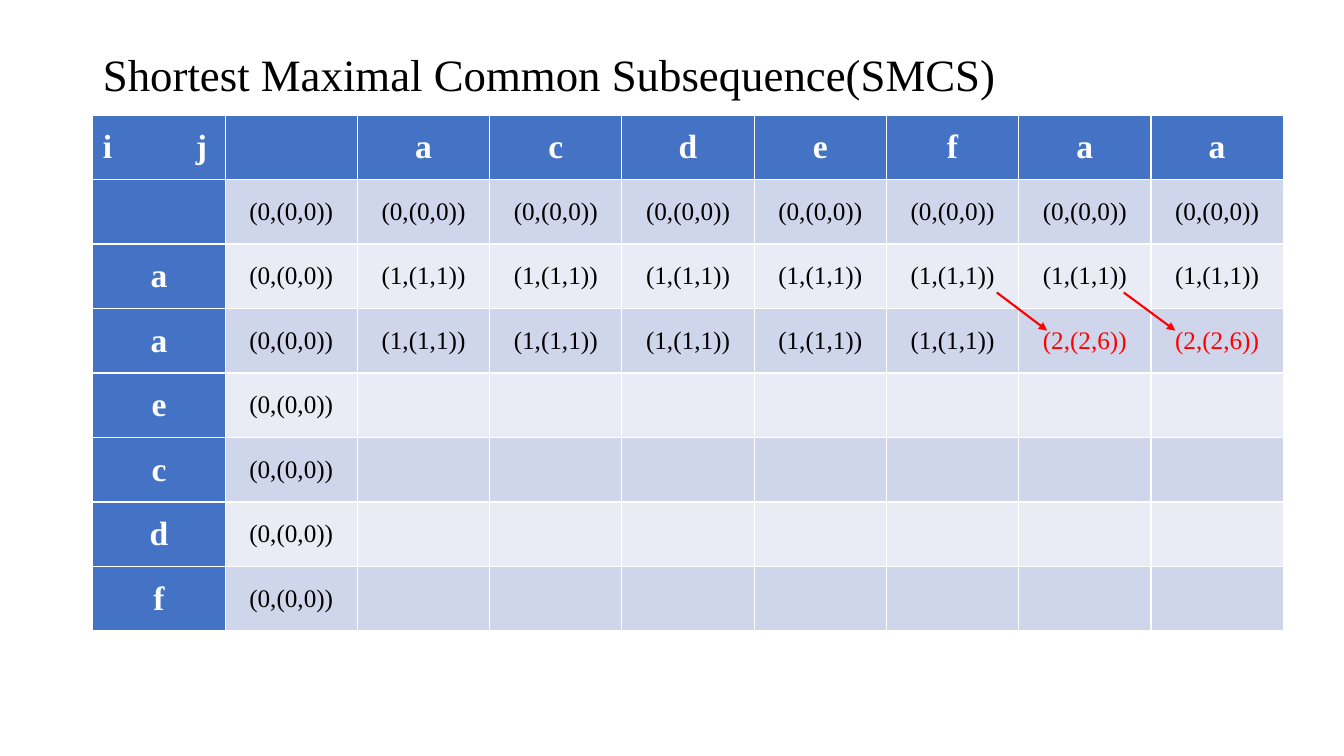
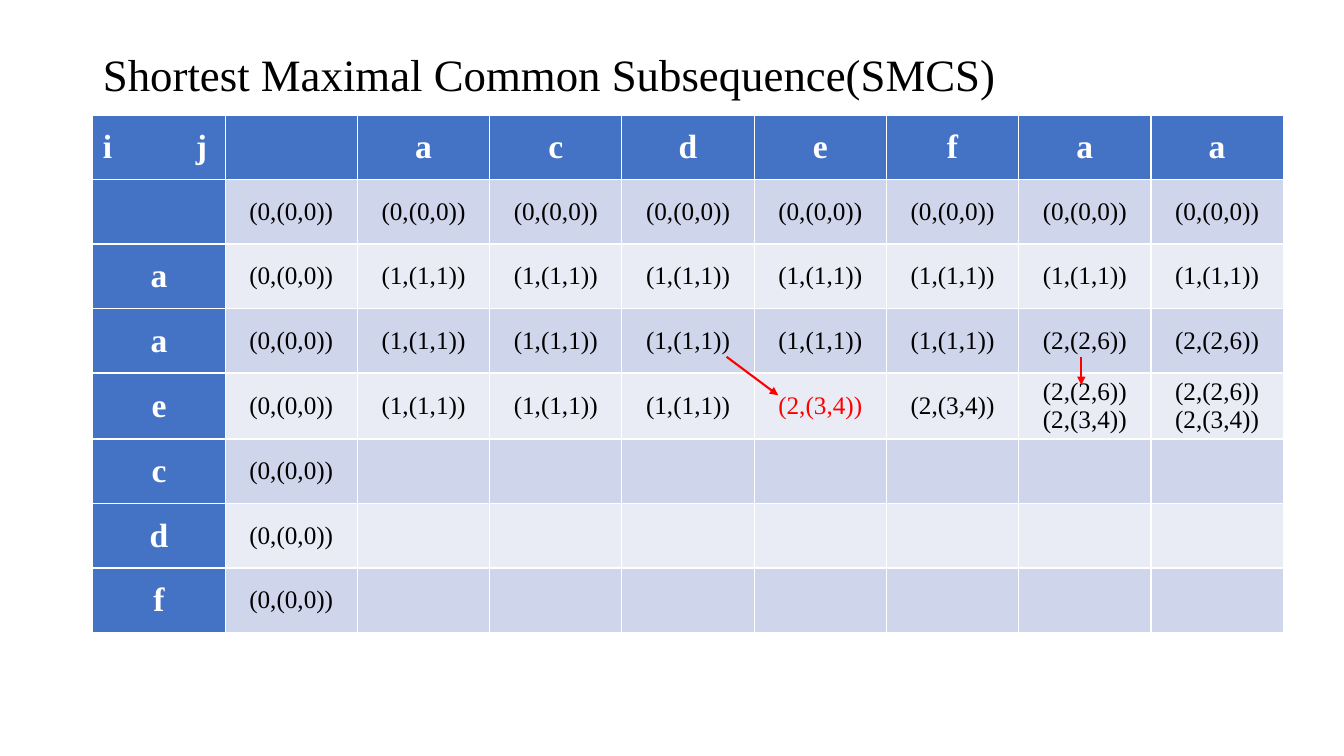
from lxml import etree
from pptx import Presentation
from pptx.dml.color import RGBColor
from pptx.enum.shapes import MSO_CONNECTOR as CONN
from pptx.enum.text import MSO_ANCHOR as ANCHOR, MSO_AUTO_SIZE as AUTO, PP_ALIGN as ALIGN
from pptx.oxml.ns import qn
from pptx.util import Cm, Pt

BLUE = RGBColor(0x44, 0x72, 0xC4)
BANDS = (RGBColor(0xE9, 0xEB, 0xF5), RGBColor(0xCF, 0xD5, 0xEA))
WHITE = RGBColor(0xFF, 0xFF, 0xFF)
BLACK = RGBColor(0, 0, 0)
RED = RGBColor(0xFF, 0, 0)

TITLE = "Shortest Maximal Common Subsequence(SMCS)"
TOP_WORD = ["", *"acdefaa"]
SIDE_WORD = ["", *"aaecdf"]
ZERO, ONE = "(0,(0,0))", "(1,(1,1))"
SIX, FOUR = "(2,(2,6))", "(2,(3,4))"
BOTH = f"{SIX}\n{FOUR}"
FIRST_ROWS = [[ZERO] * 8, [ZERO] + [ONE] * 7, [ZERO] + [ONE] * 5 + [SIX] * 2]
E_ROW = [ZERO] + [ONE] * 3 + [FOUR] * 2 + [BOTH] * 2


class Deck:
    """Holds the style of the deck and the slide being built."""

    def __init__(self):
        self.prs = Presentation()
        self.prs.slide_width, self.prs.slide_height = Cm(33.87), Cm(19.05)
        self.s = None

    def format(self, p, size, color, bold=False, align=ALIGN.CENTER):
        p.alignment = align
        p.font.name = "Times New Roman"
        p.font.size = Pt(size)
        p.font.bold = bold
        p.font.color.rgb = color

    def slide(self, title):
        self.s = self.prs.slides.add_slide(self.prs.slide_layouts[5])
        sp = self.s.shapes.title
        sp.left, sp.top, sp.width, sp.height = Cm(2.34), Cm(1.02), Cm(29.21), Cm(1.85)
        tf = sp.text_frame
        tf.text = title
        tf.auto_size = AUTO.NONE
        tf.vertical_anchor = ANCHOR.MIDDLE
        p = tf.paragraphs[0]
        p.line_spacing = 0.9
        self.format(p, 32, BLACK, align=ALIGN.LEFT)

    def cell(self, cell, text, fill, size, color, bold):
        cell.fill.solid()
        cell.fill.fore_color.rgb = fill
        cell.vertical_anchor = ANCHOR.MIDDLE
        cell.text_frame.text = text
        for p in cell.text_frame.paragraphs:
            self.format(p, size, color, bold)

    def corner(self, cell):
        p = cell.text_frame.paragraphs[0]
        p.text = "i\tj"
        p.alignment = ALIGN.LEFT
        tabs = etree.Element(qn("a:tabLst"))
        etree.SubElement(tabs, qn("a:tab"), pos=str(Cm(2.34)), algn="l")
        p._p.get_or_add_pPr().insert(0, tabs)

    def table(self, values, changed):
        rows, cols = len(SIDE_WORD) + 1, len(TOP_WORD) + 1
        frame = self.s.shapes.add_table(rows, cols, Cm(2.34), Cm(2.9), Cm(30), Cm(13))
        table = frame.table
        table.first_col = True
        for col, letter in enumerate(TOP_WORD, 1):
            self.cell(table.cell(0, col), letter, BLUE, 24, WHITE, True)
        for row, letter in enumerate(SIDE_WORD, 1):
            self.cell(table.cell(row, 0), letter, BLUE, 24, WHITE, True)
            for col, value in enumerate(values[row - 1], 1):
                color = RED if (row, col) in changed else BLACK
                self.cell(table.cell(row, col), value, BANDS[row % 2], 18, color, False)
        self.cell(table.cell(0, 0), "", BLUE, 24, WHITE, True)
        self.corner(table.cell(0, 0))

    def arrow(self, x1, y1, x2, y2):
        c = self.s.shapes.add_connector(CONN.STRAIGHT, Cm(x1), Cm(y1), Cm(x2), Cm(y2))
        c.line.color.rgb = RED
        c.line.width = Pt(1.5)
        etree.SubElement(c.line._get_or_add_ln(), qn("a:tailEnd"), type="triangle")
        etree.SubElement(c._element.spPr, qn("a:effectLst"))


def fill_rows(known):
    """Complete the known rows with rows that hold only their first value."""
    missing = len(SIDE_WORD) - len(known)
    return known + [[ZERO] + [""] * 7 for _ in range(missing)]


def main():
    """Build and save the two steps of the table."""
    steps = [
        (FIRST_ROWS, {(3, 7), (3, 8)},
         [(25.12, 7.37, 26.39, 8.33), (28.32, 7.37, 29.62, 8.33)]),
        (FIRST_ROWS + [E_ROW], {(4, 5)},
         [(18.31, 8.99, 19.61, 9.96), (27.25, 8.99, 27.25, 9.7)]),
    ]
    deck = Deck()
    for known, changed, arrows in steps:
        deck.slide(TITLE)
        deck.table(fill_rows(known), changed)
        for ends in arrows:
            deck.arrow(*ends)
    deck.prs.save("out.pptx")


if __name__ == "__main__":
    main()
